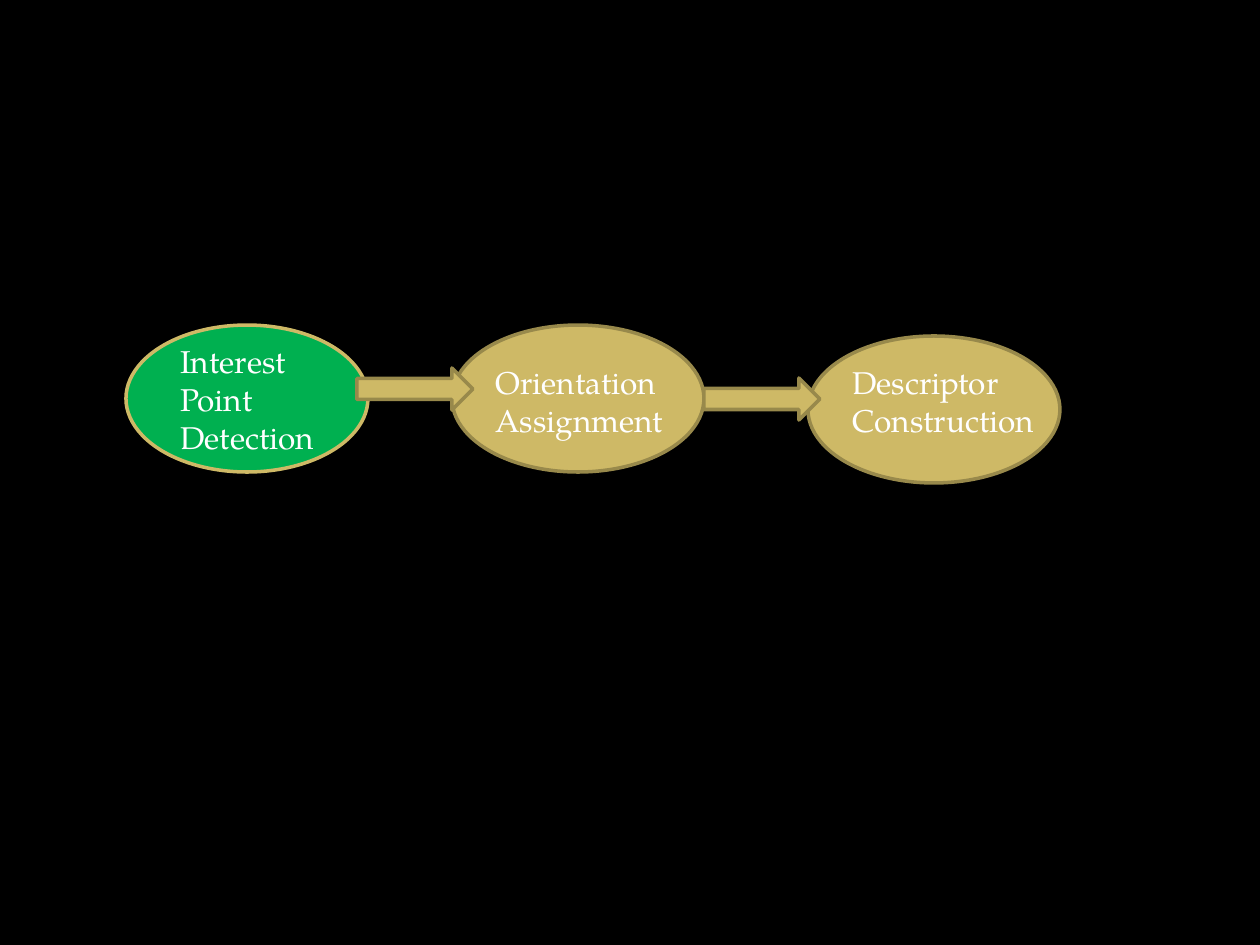
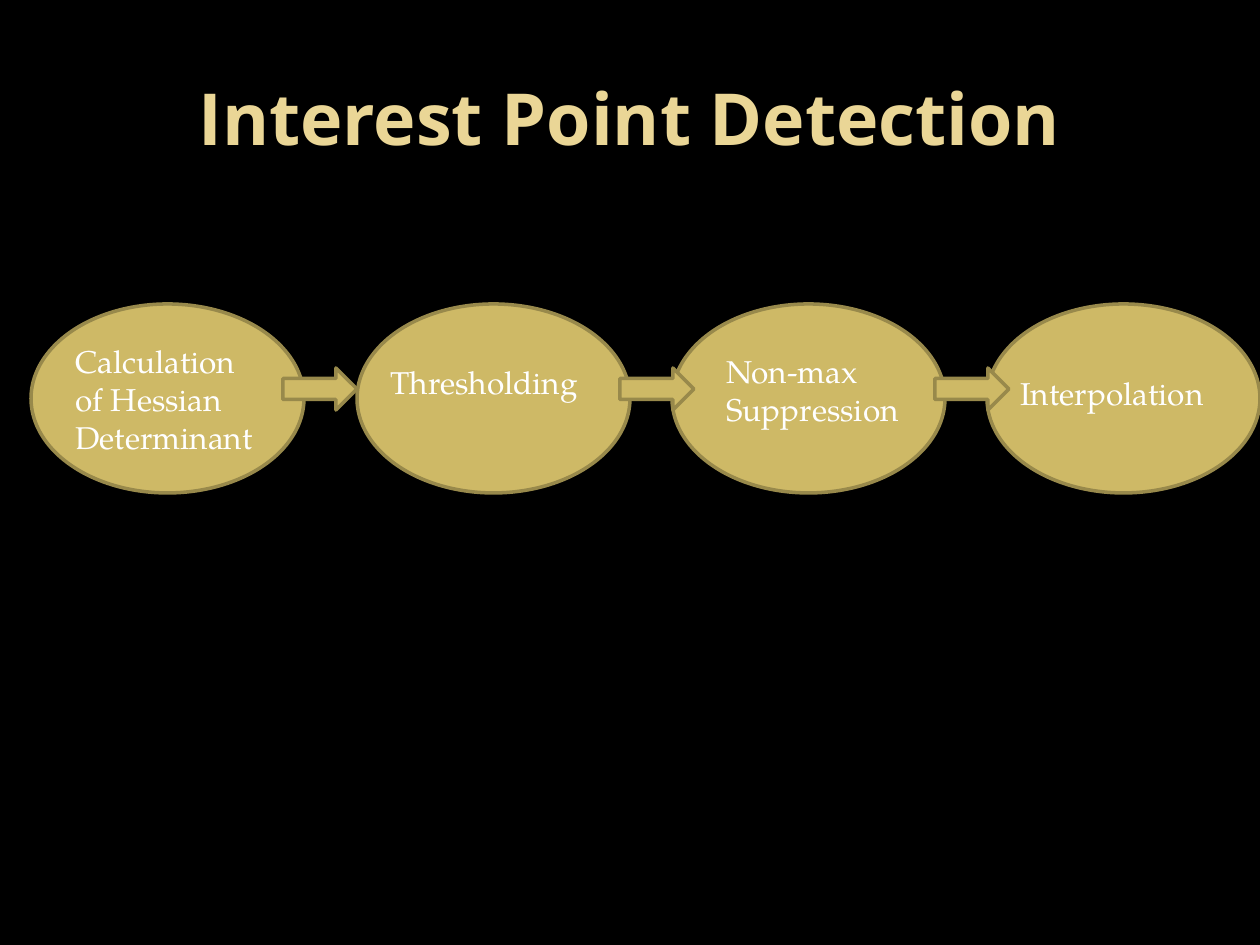
"""Build two slides that show a feature detection pipeline as ovals and arrows."""
from pptx import Presentation
from pptx.dml.color import RGBColor
from pptx.enum.shapes import MSO_SHAPE as Shape
from pptx.enum.text import MSO_ANCHOR as Anchor, MSO_AUTO_SIZE as AutoSize, PP_ALIGN as Align
from pptx.util import Emu, Pt

PX_PER_INCH = 126
COLORS = {
    "background": "000000",
    "gold": "CEB966",
    "outline": "98894B",
    "active": "00B050",
    "label": "FFFFFF",
    "title": "EAD696",
}
TITLE_FONT = "Open Sans"
LABEL_FONT = "TeX Gyre Pagella"
ARROW_HEIGHT = 42
LINE_HEIGHT = 38
LABEL_PADDING = 13


def px(length):
    """Turn pixels into EMU."""
    return Emu(round(length * 914400 / PX_PER_INCH))


def color(name):
    """Look up a named colour."""
    return RGBColor.from_string(COLORS[name])


def add_run(paragraph, text, font_name, size, color_name, bold=False):
    """Append one formatted run."""
    run = paragraph.add_run()
    run.text = text
    run.font.name = font_name
    run.font.size = Pt(size)
    run.font.bold = bold
    run.font.color.rgb = color(color_name)


def add_filled(slide, kind, left, top, width, height, fill="gold", line="outline"):
    """Add a flat preset shape with an outline."""
    shape = slide.shapes.add_shape(kind, px(left), px(top), px(width), px(height))
    shape.shadow.inherit = False
    shape.fill.solid()
    shape.fill.fore_color.rgb = color(fill)
    shape.line.color.rgb = color(line)
    shape.line.width = Pt(2)


def add_label(slide, text, left, top, width, lines):
    """Add a wrapped label sized for its number of lines."""
    height = lines * LINE_HEIGHT + LABEL_PADDING
    box = slide.shapes.add_textbox(px(left), px(top), px(width), px(height))
    frame = box.text_frame
    frame.word_wrap = True
    frame.auto_size = AutoSize.SHAPE_TO_FIT_TEXT
    add_run(frame.paragraphs[0], text, LABEL_FONT, 18, "label")


def add_arrows(slide, lefts_and_tops, width):
    """Add the arrows that link the stages."""
    for left, top in lefts_and_tops:
        add_filled(slide, Shape.RIGHT_ARROW, left, top, width, ARROW_HEIGHT)


def set_title(slide, text):
    """Place and format the title placeholder."""
    title = slide.shapes.title
    title.left, title.top, title.width, title.height = px(63), px(38), px(1134), px(157)
    frame = title.text_frame
    frame.word_wrap = True
    frame.auto_size = AutoSize.NONE
    frame.vertical_anchor = Anchor.MIDDLE
    paragraph = frame.paragraphs[0]
    paragraph.alignment = Align.CENTER
    add_run(paragraph, text, TITLE_FONT, 41, "title", bold=True)


def build_overview(presentation):
    """Build the three-stage overview with the first stage highlighted."""
    slide = presentation.slides.add_slide(presentation.slide_layouts[6])
    add_filled(slide, Shape.OVAL, 126, 325, 242, 147, fill="active", line="gold")
    for left, top in ((452, 325), (808, 336)):
        add_filled(slide, Shape.OVAL, left, top, 252, 147)
    add_arrows(slide, ((357, 368), (704, 378)), 116)
    add_label(slide, "Interest Point Detection", 168, 336, 179, 3)
    add_label(slide, "Orientation Assignment", 483, 357, 210, 2)
    add_label(slide, "Descriptor Construction", 840, 357, 210, 2)


def build_detection(presentation):
    """Build the four steps of interest point detection."""
    slide = presentation.slides.add_slide(presentation.slide_layouts[5])
    set_title(slide, "Interest Point Detection")
    steps = (
        ("Calculation of Hessian Determinant", 31, 63, 336, 3),
        ("Thresholding", 357, 378, 357, 1),
        ("Non-max Suppression", 672, 714, 346, 2),
        ("Interpolation", 987, 1008, 368, 1),
    )
    for text, oval_left, label_left, label_top, lines in steps:
        add_filled(slide, Shape.OVAL, oval_left, 304, 273, 189)
        add_label(slide, text, label_left, label_top, 220, lines)
    add_arrows(slide, ((283, 368), (620, 368), (935, 368)), 74)


def main():
    """Create and save the presentation."""
    presentation = Presentation()
    presentation.slide_width, presentation.slide_height = px(1260), px(945)
    background = presentation.slide_master.background.fill
    background.solid()
    background.fore_color.rgb = color("background")
    build_overview(presentation)
    build_detection(presentation)
    presentation.save("out.pptx")


if __name__ == "__main__":
    main()
